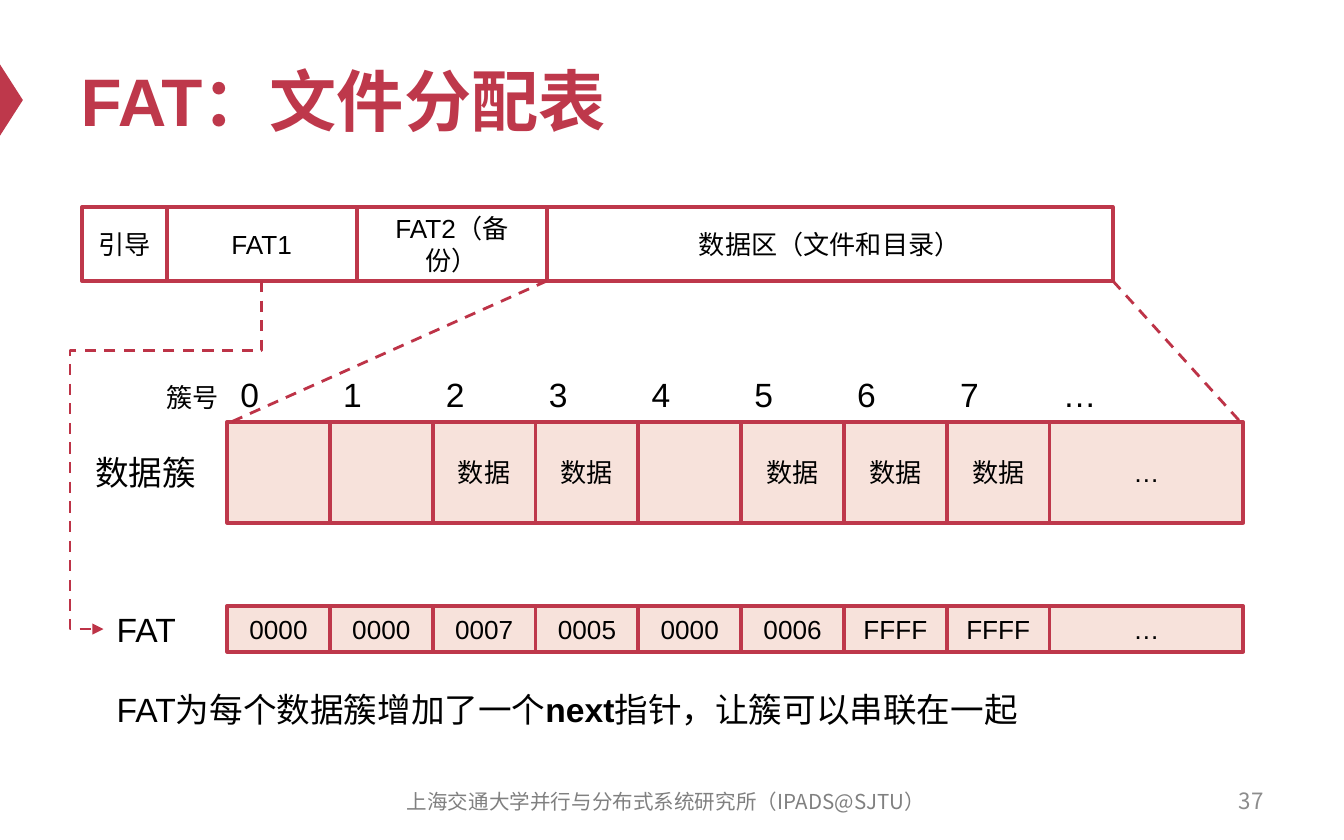
from typing import NamedTuple

from lxml.etree import SubElement
from pptx import Presentation
from pptx.dml.color import RGBColor
from pptx.enum.dml import MSO_LINE
from pptx.enum.shapes import MSO_CONNECTOR, MSO_SHAPE
from pptx.enum.text import MSO_ANCHOR, MSO_AUTO_SIZE, PP_ALIGN
from pptx.oxml.ns import qn
from pptx.util import Inches, Pt

RED = RGBColor(0xBE, 0x38, 0x4B)
DASH_RED = RGBColor(0xBD, 0x33, 0x47)
PINK = RGBColor(0xF7, 0xE2, 0xDB)
WHITE = RGBColor(0xFF, 0xFF, 0xFF)
BLACK = RGBColor(0, 0, 0)
NUMBER_GREY = RGBColor(0x8C, 0x8C, 0x8C)
FOOTER_GREY = RGBColor(0x80, 0x80, 0x80)
BODY_FONT = "Arial"
FOOTER_FONT = "Noto Sans CJK SC"
SLIDE_WIDTH, SLIDE_HEIGHT = Inches(10), Inches(6.25)
COLUMN, ROW = SLIDE_WIDTH / 100, SLIDE_HEIGHT / 100


class Box(NamedTuple):
    """A rectangle in columns and rows of a 100 by 100 grid."""

    left: float
    top: float
    width: float
    height: float

    @property
    def right(self):
        """Return the column of the right edge."""
        return self.left + self.width

    @property
    def bottom(self):
        """Return the row of the bottom edge."""
        return self.top + self.height


DISK = Box(6.1, 24.64, 76.7, 8.8)
CLUSTERS = Box(16.9, 50.24, 75.6, 12)
TABLE = Box(16.9, 72.16, 75.6, 5.44)
TABLE_LABEL = Box(7.7, 71.68, 6.5, 6.4)
DISK_WIDTHS = [6.3, 14.15, 14.15, 42.1]
CLUSTER_WIDTHS = [7.65] * 8 + [14.4]


def to_length(box):
    """Convert a grid box to slide lengths."""
    return (int(box.left * COLUMN), int(box.top * ROW),
            int(box.width * COLUMN), int(box.height * ROW))


def split_box(box, widths):
    """Yield the side by side cells of a box."""
    left = box.left
    for width in widths:
        yield Box(left, box.top, width, box.height)
        left += width


def write_text(shape, *texts, size=14, color=BLACK, font=BODY_FONT, bold=(),
               align=PP_ALIGN.LEFT, anchor=MSO_ANCHOR.MIDDLE, wrap=True):
    """Write runs into a shape, with the runs listed in bold set heavy."""
    frame = shape.text_frame
    frame.auto_size = MSO_AUTO_SIZE.NONE if wrap else MSO_AUTO_SIZE.SHAPE_TO_FIT_TEXT
    frame.word_wrap = wrap
    frame.vertical_anchor = anchor
    paragraph = frame.paragraphs[0]
    paragraph.alignment = align
    for text in texts:
        run = paragraph.add_run()
        run.text = text
        run.font.size = Pt(size)
        run.font.name = font
        run.font.bold = text in bold
        run.font.color.rgb = color
        SubElement(run.font._element, qn("a:ea")).set("typeface", FOOTER_FONT)


def add_label(slide, box, *texts, **text_format):
    """Add a text box."""
    shape = slide.shapes.add_textbox(*to_length(box))
    write_text(shape, *texts, **text_format)


def add_note(slide, box, *texts, size=18, **text_format):
    """Add an unwrapped label set from the top of its box."""
    add_label(slide, box, *texts, size=size, anchor=MSO_ANCHOR.TOP,
              wrap=False, **text_format)


def add_cells(slide, box, widths, texts, fill):
    """Fill a box with a row of outlined cells."""
    for cell, text in zip(split_box(box, widths), texts):
        shape = slide.shapes.add_shape(MSO_SHAPE.RECTANGLE, *to_length(cell))
        shape.shadow.inherit = False
        shape.fill.solid()
        shape.fill.fore_color.rgb = fill
        shape.line.color.rgb = RED
        shape.line.width = Pt(2)
        if text:
            write_text(shape, text, align=PP_ALIGN.CENTER)


def add_dashed(slide, kind, start_x, start_y, end_x, end_y):
    """Add a dashed connector between two grid points."""
    connector = slide.shapes.add_connector(
        kind, int(start_x * COLUMN), int(start_y * ROW),
        int(end_x * COLUMN), int(end_y * ROW))
    connector.line.color.rgb = DASH_RED
    connector.line.width = Pt(1.5)
    connector.line.dash_style = MSO_LINE.DASH
    SubElement(connector._element.spPr, qn("a:effectLst"))
    return connector


def add_table_arrow(slide, start_x, start_y, end_x, end_y):
    """Add the bent arrow that leaves downward and enters from the left."""
    connector = add_dashed(slide, MSO_CONNECTOR.ELBOW, end_x, start_y, start_x, end_y)
    center_x = connector.left + connector.width // 2
    center_y = connector.top + connector.height // 2
    connector.width, connector.height = connector.height, connector.width
    connector.left = center_x - connector.width // 2
    connector.top = center_y - connector.height // 2
    properties = connector._element.spPr
    properties.find(qn("a:xfrm")).set("rot", "5400000")
    geometry = properties.find(qn("a:prstGeom"))
    geometry.set("prst", "bentConnector4")
    adjustments = geometry.find(qn("a:avLst"))
    for name, value in (("adj1", 20000), ("adj2", 121200)):
        guide = SubElement(adjustments, qn("a:gd"))
        guide.set("name", name)
        guide.set("fmla", f"val {value}")
    SubElement(properties.find(qn("a:ln")), qn("a:tailEnd")).set("type", "triangle")


def add_heading(slide, box):
    """Place the title and its marker on the slide edge."""
    marker = slide.shapes.add_shape(
        MSO_SHAPE.ISOSCELES_TRIANGLE, *to_length(Box(-1.8, 10.56, 5.3, 2.72)))
    marker.rotation = 90
    marker.shadow.inherit = False
    marker.fill.solid()
    marker.fill.fore_color.rgb = RED
    marker.line.fill.background()
    title = slide.shapes.title
    title.left, title.top, title.width, title.height = to_length(box)
    write_text(title, "FAT：文件分配表", size=36, color=RED, bold=("FAT：文件分配表",))


def add_disk(slide, box):
    """Draw the regions of the disk."""
    names = ["引导", "FAT1", "FAT2（备份）", "数据区（文件和目录）"]
    add_cells(slide, box, DISK_WIDTHS, names, WHITE)


def add_clusters(slide, box):
    """Draw the numbered data clusters."""
    data = "数据"
    add_cells(slide, box, CLUSTER_WIDTHS,
              ["", "", data, data, "", data, data, data, "…"], PINK)
    add_note(slide, Box(6.1, box.top + 2.72, 9.6, 6.4), "数据簇")
    add_note(slide, Box(11.4, box.top - 5.6, 5.9, 5.44), "簇号", size=14)
    for cell, number in zip(split_box(box, CLUSTER_WIDTHS), "01234567…"):
        width = 4.5 if number == "…" else 3.4
        add_note(slide, Box(cell.left, box.top - 6.56, width, 6.4), number)


def add_allocation_table(slide, box):
    """Draw the allocation table and its explanation."""
    entries = ["0000", "0000", "0007", "0005", "0000", "0006", "FFFF", "FFFF", "…"]
    add_cells(slide, box, CLUSTER_WIDTHS, entries, PINK)
    add_note(slide, TABLE_LABEL, "FAT")
    add_note(slide, Box(TABLE_LABEL.left, box.bottom + 3.68, 71.8, 6.4),
             "FAT为每个数据簇增加了一个", "next", "指针，让簇可以串联在一起", bold=("next",))


def add_links(slide, disk, clusters):
    """Join the disk regions to their enlarged views."""
    _, first_table, _, data = split_box(disk, DISK_WIDTHS)
    add_dashed(slide, MSO_CONNECTOR.STRAIGHT, data.left, data.bottom,
               clusters.left + 0.3, clusters.top)
    add_dashed(slide, MSO_CONNECTOR.STRAIGHT, data.right, data.bottom,
               clusters.right - 0.2, clusters.top)
    add_table_arrow(slide, first_table.left + first_table.width / 2, disk.bottom,
                    TABLE_LABEL.left, TABLE_LABEL.top + TABLE_LABEL.height / 2)


def add_footer(slide, box):
    """Place the institute name and the page number."""
    add_label(slide, Box(27.9, box.top, 43.3, box.height),
              "上海交通大学并行与分布式系统研究所（IPADS@SJTU）", size=11,
              color=FOOTER_GREY, font=FOOTER_FONT, align=PP_ALIGN.CENTER)
    add_label(slide, Box(box.right - 23.3, box.top - 0.16, 23.3, box.height), "37",
              size=12, color=NUMBER_GREY, font=FOOTER_FONT, align=PP_ALIGN.RIGHT)


def main():
    """Build and save the presentation."""
    presentation = Presentation()
    presentation.slide_width, presentation.slide_height = SLIDE_WIDTH, SLIDE_HEIGHT
    slide = presentation.slides.add_slide(presentation.slide_layouts[5])
    add_heading(slide, Box(5, 4, 90, 15.68))
    add_disk(slide, DISK)
    add_clusters(slide, CLUSTERS)
    add_allocation_table(slide, TABLE)
    add_links(slide, DISK, CLUSTERS)
    add_footer(slide, Box(5, 92.8, 90, 5.28))
    presentation.save("out.pptx")


if __name__ == "__main__":
    main()
